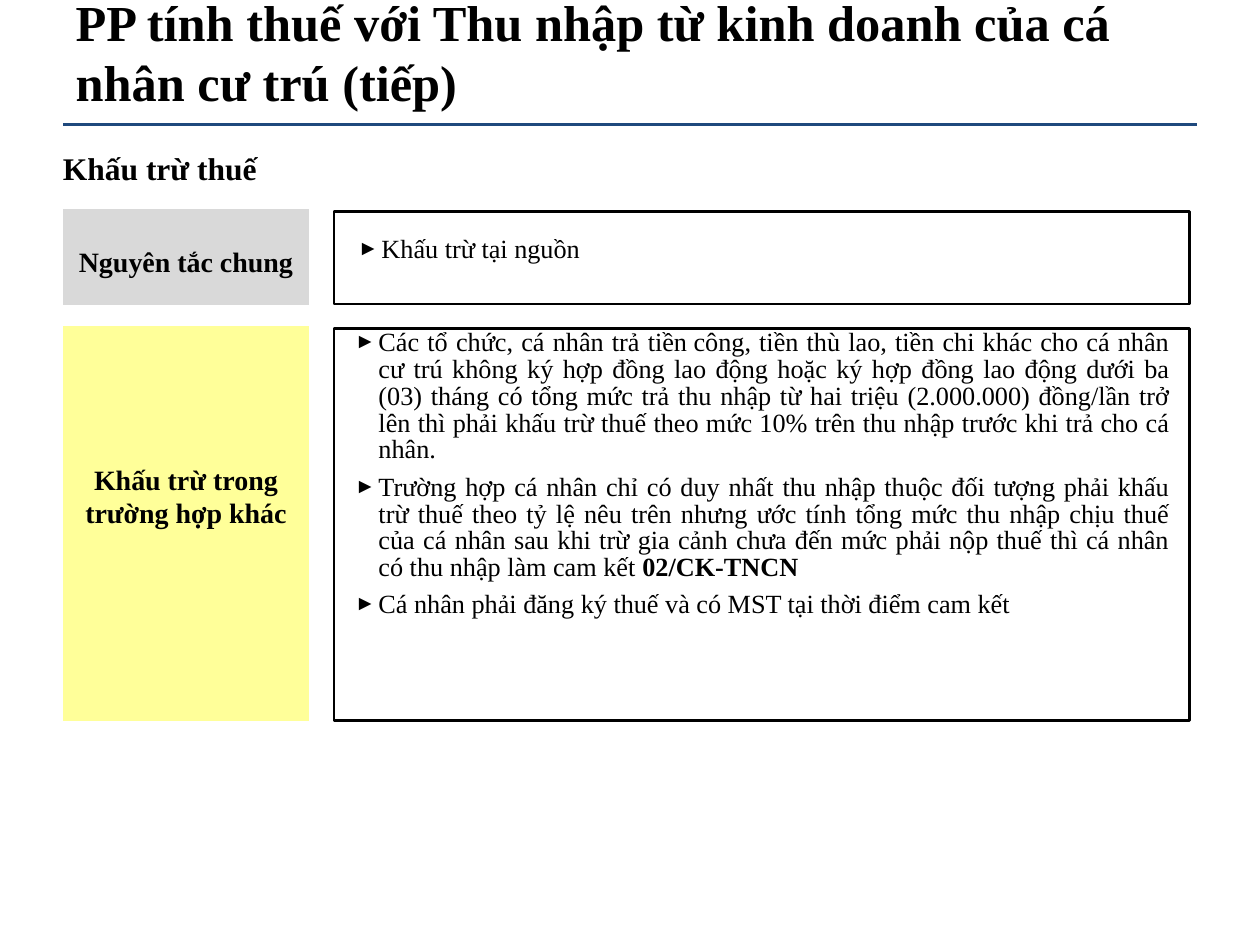
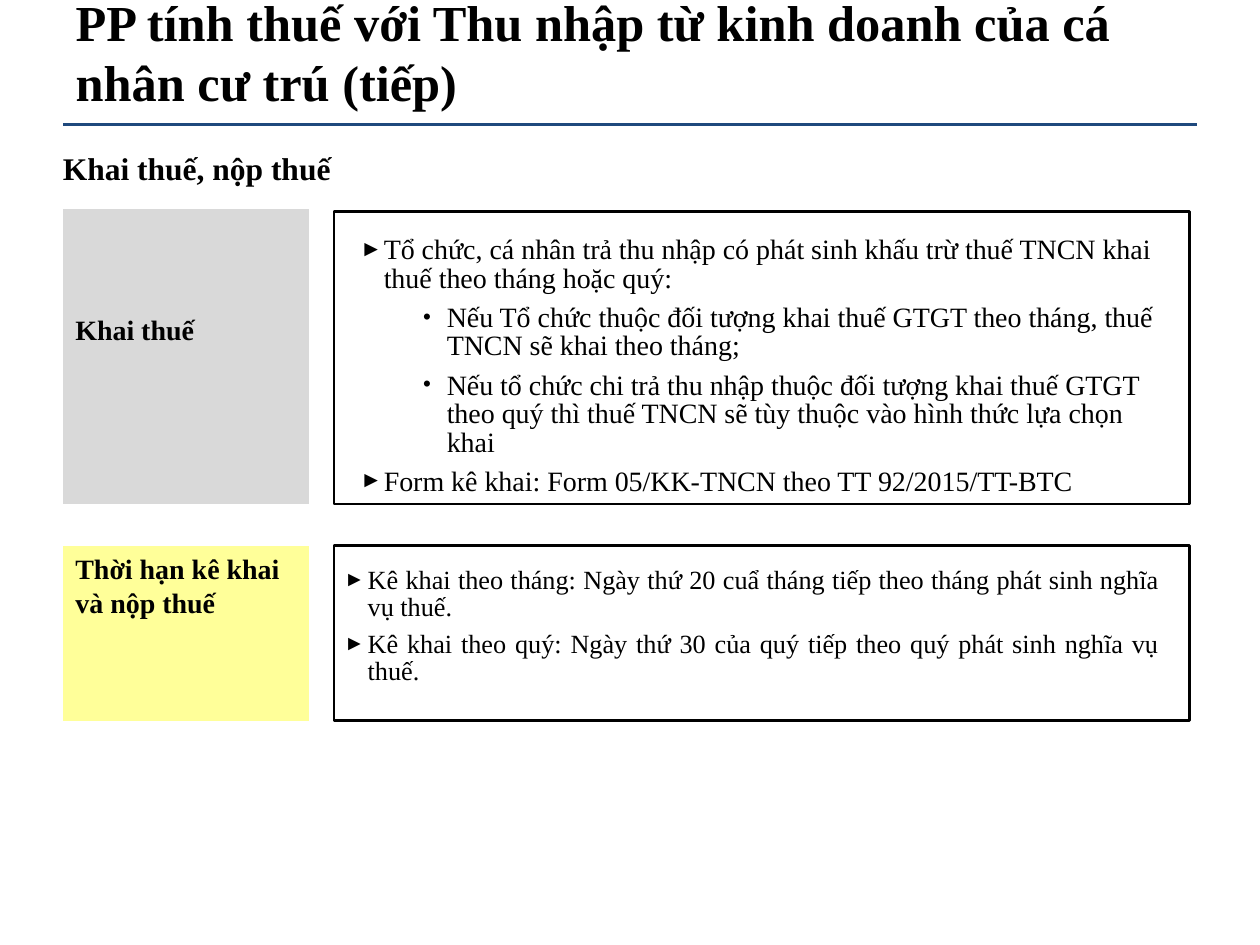
from dataclasses import dataclass

from lxml.etree import SubElement
from pptx import Presentation
from pptx.dml.color import RGBColor
from pptx.enum.shapes import MSO_CONNECTOR, MSO_SHAPE
from pptx.enum.text import MSO_ANCHOR, MSO_AUTO_SIZE, PP_ALIGN
from pptx.oxml.ns import qn
from pptx.util import Pt


@dataclass(frozen=True)
class Theme:
    face: str = "Times New Roman"
    ink: RGBColor = RGBColor(0, 0, 0)
    rule: RGBColor = RGBColor(0x1F, 0x49, 0x7D)
    gray: RGBColor = RGBColor(0xD9, 0xD9, 0xD9)
    yellow: RGBColor = RGBColor(0xFF, 0xFF, 0x99)
    title: float = 28.8
    head: float = 18
    label: float = 16
    body: float = 15
    line: float = 1.5


LOOK = Theme()
LEFT, WIDE = 36, 648
LABEL_W = 140.5
PANEL_X, PANEL_W = 190.8, 489
TEXT_W = 466
INDENT = 13.5
TITLE = "PP tính thuế với Thu nhập từ kinh doanh của cá nhân cư trú (tiếp)"


def style(para, size, bold=False):
    font = para.font
    font.name, font.size, font.bold = LOOK.face, Pt(size), bold
    font.color.rgb = LOOK.ink


def tight(para):
    para.line_spacing = 0.85
    para.space_before = Pt(0)
    para.space_after = Pt(6)


def bullet(para, level):
    para.level = level
    props = para._p.get_or_add_pPr()
    props.set("marL", str(Pt(INDENT + 36 * level)))
    props.set("indent", str(-Pt(INDENT)))
    SubElement(props, qn("a:buSzPct")).set("val", "80000")
    SubElement(props, qn("a:buFont")).set("typeface", "Arial")
    SubElement(props, qn("a:buChar")).set("char", "►•"[level])


def text_box(slide, x, y, w, h):
    box = slide.shapes.add_textbox(Pt(x), Pt(y), Pt(w), Pt(h))
    frame = box.text_frame
    frame.word_wrap = True
    frame.auto_size = MSO_AUTO_SIZE.SHAPE_TO_FIT_TEXT
    frame.margin_left = frame.margin_right = frame.margin_bottom = 0
    frame.margin_top = Pt(3)
    return frame


def block(slide, x, y, w, h):
    shape = slide.shapes.add_shape(
        MSO_SHAPE.FLOWCHART_PROCESS, Pt(x), Pt(y), Pt(w), Pt(h))
    shape.shadow.inherit = False
    return shape


def header(slide, heading):
    # Title
    title = slide.shapes.title
    title.left, title.top = Pt(LEFT), Pt(6)
    title.width, title.height = Pt(WIDE), Pt(46.8)
    frame = title.text_frame
    frame.text = TITLE
    frame.word_wrap = True
    frame.auto_size = MSO_AUTO_SIZE.NONE
    frame.vertical_anchor = MSO_ANCHOR.MIDDLE
    para = frame.paragraphs[0]
    para.alignment = PP_ALIGN.LEFT
    style(para, LOOK.title, True)

    # Rule under the title
    rule = slide.shapes.add_connector(
        MSO_CONNECTOR.STRAIGHT, Pt(LEFT), Pt(71.3), Pt(LEFT + WIDE), Pt(71.3))
    rule.line.color.rgb = LOOK.rule
    rule.line.width = Pt(LOOK.line)
    SubElement(rule._element.spPr, qn("a:effectLst"))

    # Section heading
    para = text_box(slide, LEFT, 85.7, WIDE, 21.6).paragraphs[0]
    para.text = heading
    tight(para)
    style(para, LOOK.head, True)


def label(slide, y, h, text, fill, drop, align):
    shape = block(slide, LEFT, y, LABEL_W, h)
    shape.fill.solid()
    shape.fill.fore_color.rgb = fill
    shape.line.fill.background()
    frame = shape.text_frame
    frame.word_wrap = True
    frame.vertical_anchor = MSO_ANCHOR.TOP
    frame.margin_top = Pt(drop)
    para = frame.paragraphs[0]
    para.text = text
    para.alignment = align
    style(para, LOOK.label, True)


def panel(slide, y, h, items, shift, size, align):
    """Outlined box; shift places its text from the box corner."""
    shape = block(slide, PANEL_X, y, PANEL_W, h)
    shape.fill.background()
    shape.line.color.rgb = LOOK.ink
    shape.line.width = Pt(LOOK.line)

    # Bulleted text
    dx, dy, tall = shift
    frame = text_box(slide, PANEL_X + dx, y + dy, TEXT_W, tall)
    for i, (level, text, strong) in enumerate(items):
        para = frame.add_paragraph() if i else frame.paragraphs[0]
        bullet(para, level)
        tight(para)
        para.alignment = align
        style(para, size)
        para.add_run().text = text
        if strong:
            run = para.add_run()
            run.text = strong
            run.font.bold = True


def withhold(slide):
    header(slide, "Khấu trừ thuế")
    # General rule
    label(slide, 119.5, 54.5, "Nguyên tắc chung", LOOK.gray, 20.5, PP_ALIGN.CENTER)
    panel(slide, 121, 52.8, [(0, "Khấu trừ tại nguồn", "")],
          (13.7, 11.5, 18), LOOK.body, PP_ALIGN.LEFT)
    # Other cases
    label(slide, 186, 226, "Khấu trừ trong trường hợp khác", LOOK.yellow, 78,
          PP_ALIGN.CENTER)
    panel(slide, 187.8, 224, [
        (0, "Các tổ chức, cá nhân trả tiền\u00a0công, tiền thù lao, tiền chi khác cho "
            "cá nhân cư trú không ký hợp đồng lao động hoặc ký hợp đồng lao động "
            "dưới ba (03) tháng có tổng mức trả thu nhập từ hai triệu (2.000.000) "
            "đồng/lần trở lên thì phải khấu trừ thuế theo mức 10% trên thu nhập "
            "trước khi trả cho cá nhân.", ""),
        (0, "Trường hợp cá nhân chỉ có duy nhất thu nhập thuộc đối tượng phải "
            "khấu trừ thuế theo tỷ lệ nêu trên nhưng ước tính tổng mức thu nhập "
            "chịu thuế của cá nhân sau khi trừ gia cảnh chưa đến mức phải nộp "
            "thuế thì cá nhân có thu nhập làm cam kết ", "02/CK-TNCN"),
        (0, "Cá nhân phải đăng ký thuế và có MST tại thời điểm cam kết", ""),
    ], (12, -2, 169), LOOK.body, PP_ALIGN.JUSTIFY)


def declare(slide):
    header(slide, "Khai thuế, nộp thuế")
    # Tax return
    label(slide, 119.5, 168.5, "Khai thuế", LOOK.gray, 59, PP_ALIGN.LEFT)
    panel(slide, 121, 167, [
        (0, "Tổ chức, cá nhân trả thu nhập có phát sinh khấu trừ thuế TNCN khai "
            "thuế theo tháng hoặc quý:", ""),
        (1, "Nếu Tổ chức thuộc đối tượng khai thuế GTGT theo tháng, thuế TNCN "
            "sẽ khai theo tháng;", ""),
        (1, "Nếu tổ chức chi trả thu nhập thuộc đối tượng khai thuế GTGT theo "
            "quý thì thuế TNCN sẽ tùy thuộc vào hình thức lựa chọn khai", ""),
        (0, "Form kê khai: Form 05/KK-TNCN theo TT 92/2015/TT-BTC", ""),
    ], (15, 11.5, 175.7), LOOK.label, PP_ALIGN.LEFT)
    # Deadlines
    label(slide, 311.8, 100, "Thời hạn kê khai và nộp thuế", LOOK.yellow, 3.6,
          PP_ALIGN.LEFT)
    panel(slide, 311.8, 100, [
        (0, "Kê khai theo tháng: Ngày thứ 20 cuẩ tháng tiếp theo tháng phát "
            "sinh nghĩa vụ thuế.", ""),
        (0, "Kê khai theo quý: Ngày thứ 30 của quý tiếp theo quý phát sinh "
            "nghĩa vụ thuế.", ""),
    ], (5.8, 10, 70.6), LOOK.body, PP_ALIGN.JUSTIFY)


def main():
    deck = Presentation()
    deck.slide_width, deck.slide_height = Pt(720), Pt(540)
    for build in (withhold, declare):
        build(deck.slides.add_slide(deck.slide_layouts[5]))
    deck.save("out.pptx")


if __name__ == "__main__":
    main()
